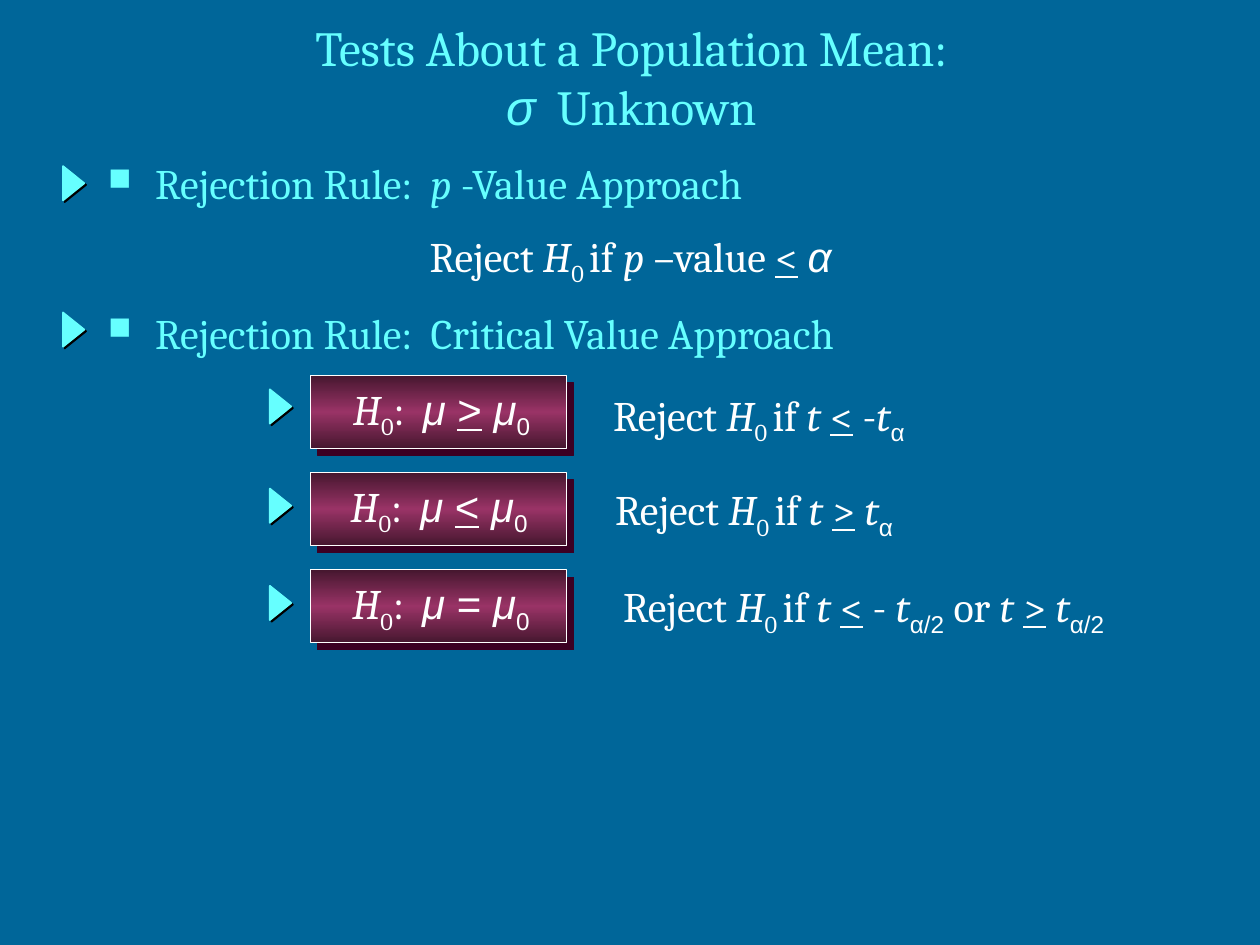
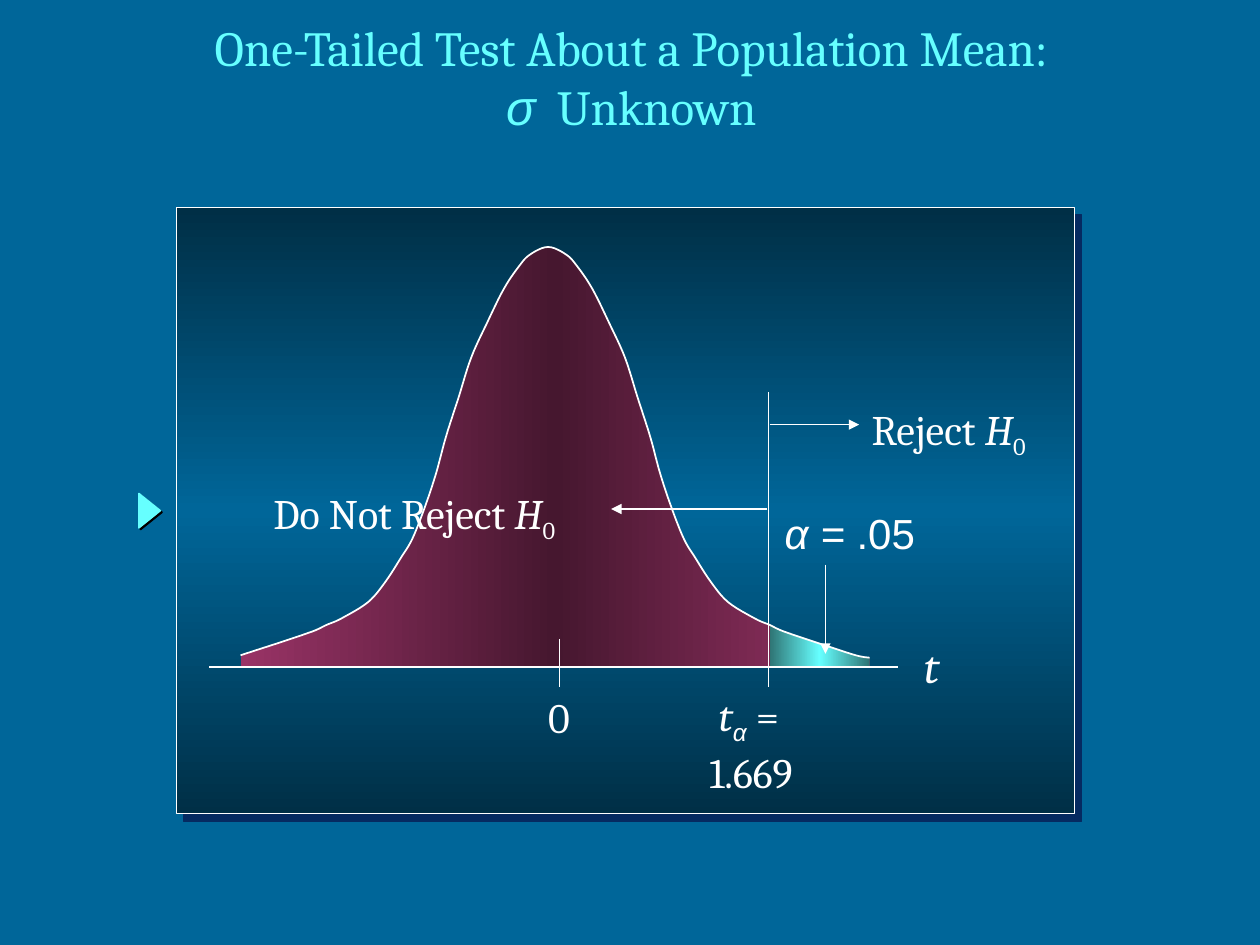
from dataclasses import dataclass
from typing import NamedTuple

from lxml import etree
from pptx import Presentation
from pptx import util as u
from pptx.dml.color import RGBColor
from pptx.enum import shapes, text
from pptx.oxml import ns

TEAL, CYAN, WHITE, BLACK = "006699", "66FFFF", "FFFFFF", "000000"
PLUM, ROSE, PLUM_SHADE = "46172F", "993366", "3C0023"
NAVY, NAVY_SHADE, DARK_CYAN = "002F46", "052A61", "2F7575"
SERIF, SANS = "Cambria", "Arial"
LEFT, CENTER = text.PP_ALIGN.LEFT, text.PP_ALIGN.CENTER


class Box(NamedTuple):
    x: float
    y: float
    w: float
    h: float


class Run(NamedTuple):
    text: str
    italic: bool = False
    sub: bool = False
    under: bool = False
    font: str = SERIF


@dataclass(frozen=True)
class Label:
    box: Box
    lines: list[list[Run]]
    size: int = 24
    align: text.PP_ALIGN = CENTER


@dataclass(frozen=True)
class Line:
    x1: float
    y1: float
    x2: float
    y2: float
    arrow: bool = False


@dataclass(frozen=True)
class Hypothesis:
    text_x: float
    text_w: float
    claim: list[Run]
    arrow_y: float
    rule_box: Box
    rule: list[Run]


def rgb(color: str) -> RGBColor:
    return RGBColor.from_string(color)


def node(parent, tag: str, **attrs):
    return etree.SubElement(parent, ns.qn(tag), {k: str(v) for k, v in attrs.items()})


def cm(*lengths: float) -> list[u.Length]:
    return [u.Cm(n) for n in lengths]


def add_shadow(parent, color: str, points: float) -> None:
    effects = node(parent, "a:effectLst")
    shade = node(effects, "a:outerShdw", dist=int(u.Pt(points)), dir=2700000,
                 algn="ctr", rotWithShape=0)
    node(shade, "a:srgbClr", val=color)


def fill_gradient(sp, edge: str, middle: str, angle: int) -> None:
    sp.fill.gradient()
    sp.fill.gradient_angle = angle
    stops = sp._element.spPr.find(f".//{ns.qn('a:gsLst')}")
    stops.clear()
    for pos, color in ((0, edge), (50000, middle), (100000, edge)):
        node(node(stops, "a:gs", pos=pos), "a:srgbClr", val=color)


def set_line(sp, color: str, width: float) -> None:
    sp.line.color.rgb = rgb(color)
    sp.line.width = u.Pt(width)


def add_run(p, content: str, *, size: int = 24, color: str = WHITE, font: str = SERIF,
            italic: bool = False, sub: bool = False, under: bool = False,
            shadow: bool = False) -> None:
    r = p.add_run()
    r.text = content
    f = r.font
    f.size, f.name, f.italic, f.underline = u.Pt(size), font, italic, under
    f.color.rgb = rgb(color)
    r_pr = r._r.get_or_add_rPr()
    if sub:
        r_pr.set("baseline", "-25000")
    if shadow:
        effects = etree.Element("holder")
        add_shadow(effects, BLACK, 2)
        r_pr.find(ns.qn("a:solidFill")).addnext(effects[0])


def add_runs(p, runs: list[Run], **fmt) -> None:
    for run in runs:
        add_run(p, run.text, italic=run.italic, sub=run.sub, under=run.under,
                font=run.font, **fmt)


def add_textbox(s, box: Box, wrap: bool):
    tf = s.shapes.add_textbox(*cm(*box)).text_frame
    tf.word_wrap = wrap
    tf.auto_size = text.MSO_AUTO_SIZE.NONE if wrap else text.MSO_AUTO_SIZE.SHAPE_TO_FIT_TEXT
    return tf


def add_label(s, label: Label, shadow: bool = False) -> None:
    tf = add_textbox(s, label.box, False)
    for i, runs in enumerate(label.lines):
        p = tf.add_paragraph() if i else tf.paragraphs[0]
        p.alignment = label.align
        add_runs(p, runs, size=label.size, shadow=shadow)


def add_heading(s, y: float, runs: list[Run]) -> None:
    p = add_textbox(s, Box(1.93, y, 21.59, 1.63), True).paragraphs[0]
    p_pr = p._p.get_or_add_pPr()
    p_pr.set("marL", str(u.Cm(0.95)))
    p_pr.set("indent", str(u.Cm(-0.95)))
    node(node(p_pr, "a:buClr"), "a:srgbClr", val=CYAN)
    node(p_pr, "a:buSzPct", val=75000)
    node(p_pr, "a:buChar", char="■")
    p.space_before = u.Pt(6)
    add_runs(p, runs, color=CYAN)


def add_pointer(s, x: float, y: float) -> None:
    sp = s.shapes.add_shape(shapes.MSO_SHAPE.ISOSCELES_TRIANGLE, *cm(x, y, 0.69, 0.43))
    sp.rotation = 90
    sp.fill.solid()
    sp.fill.fore_color.rgb = rgb(CYAN)
    set_line(sp, CYAN, 1)
    add_shadow(sp._element.spPr, BLACK, 1.4)


def add_panel(s, box: Box, edge: str, middle: str, shade: str) -> None:
    sp = s.shapes.add_shape(shapes.MSO_SHAPE.RECTANGLE, *cm(*box))
    fill_gradient(sp, edge, middle, 90)
    set_line(sp, WHITE, 0.5)
    add_shadow(sp._element.spPr, shade, 5.7)


def add_line(s, line: Line) -> None:
    sp = s.shapes.add_connector(shapes.MSO_CONNECTOR.STRAIGHT,
                                *cm(line.x1, line.y1, line.x2, line.y2))
    set_line(sp, WHITE, 1)
    if line.arrow:
        node(sp.line._get_or_add_ln(), "a:tailEnd", type="triangle")
    node(sp._element.spPr, "a:effectLst")


def add_outline(s, points: list[tuple[float, float]], close: bool):
    first, *rest = [tuple(cm(*pt)) for pt in points]
    builder = s.shapes.build_freeform(*first)
    builder.add_line_segments(rest, close=close)
    sp = builder.convert_to_shape()
    sp.shadow.inherit = False
    return sp


def add_area(s, curve: list[tuple[float, float]], edge: str, middle: str) -> None:
    base = [(curve[-1][0], BASELINE), (curve[0][0], BASELINE)]
    sp = add_outline(s, curve + base, True)
    fill_gradient(sp, edge, middle, 0)
    sp.line.fill.background()


def smooth_curve(knots: list[tuple[float, float]], steps: int = 6) -> list[tuple[float, float]]:
    padded = [knots[0], *knots, knots[-1]]
    points = []
    for a, b, c, d in zip(padded, padded[1:], padded[2:], padded[3:]):
        for t in (k / steps for k in range(steps)):
            points.append(tuple(
                q + t * (r - p) / 2 + t**2 * (2 * p - 5 * q + 4 * r - e) / 2
                + t**3 * (3 * q - p - 3 * r + e) / 2
                for p, q, r, e in zip(a, b, c, d)))
    return points + [knots[-1]]


def add_slide(prs, title: str):
    s = prs.slides.add_slide(prs.slide_layouts[6])
    s.background.fill.solid()
    s.background.fill.fore_color.rgb = rgb(TEAL)
    tf = add_textbox(s, Box(1.93, 0.41, 21.59, 2.26), True)
    tf.vertical_anchor = text.MSO_ANCHOR.MIDDLE
    p = tf.paragraphs[0]
    p.alignment = CENTER
    add_run(p, title, size=28, color=CYAN)
    p.add_line_break()
    add_runs(p, [Run("σ", italic=True, font=SANS), Run("  Unknown")], size=28, color=CYAN)
    return s


H = Run("H", italic=True)
ZERO = Run("0", sub=True)
REJECT_IF = [Run("Reject "), H, Run("0 ", sub=True), Run("if ")]
T = Run("t", italic=True)
T_SPACED = Run("t ", italic=True)
LESS, MORE = Run("<", under=True), Run(">", under=True)
ALPHA = Run("α", sub=True, font=SANS)
HALF_ALPHA = Run("α/2", sub=True, font=SANS)


def claim(*sign: Run) -> list[Run]:
    return [H, ZERO, Run(":  "), Run("μ", italic=True, font=SANS), *sign,
            Run("μ", italic=True, font=SANS), Run("0", sub=True, font=SANS)]


def bounded_sign(sign: str) -> list[Run]:
    return [Run(" ", font=SANS), Run(sign, under=True, font=SANS), Run(" ", font=SANS)]


HYPOTHESES = [
    Hypothesis(6.55, 4.7, claim(*bounded_sign(">")), 7.98, Box(11.73, 7.72, 7.14, 1.42),
               [*REJECT_IF, T_SPACED, LESS, Run(" -"), T, ALPHA]),
    Hypothesis(6.5, 4.7, claim(*bounded_sign("<")), 9.98, Box(11.76, 9.63, 6.88, 1.42),
               [*REJECT_IF, T_SPACED, MORE, Run(" "), T, ALPHA]),
    Hypothesis(6.45, 4.88, claim(Run(" = ", font=SANS)), 11.94, Box(11.76, 11.58, 11.3, 1.42),
               [*REJECT_IF, T_SPACED, LESS, Run(" - "), T, HALF_ALPHA, Run(" or "),
                T_SPACED, MORE, Run(" "), T, HALF_ALPHA]),
]

BASELINE = 13.43
PEAK_X = 11.05
CRITICAL_OFFSET = 4.47
HALF_BELL = [
    (0, 4.98), (0.36, 5.13), (0.58, 5.36), (0.89, 5.82), (1.24, 6.53), (1.55, 7.21),
    (1.8, 8), (2.06, 8.81), (2.26, 9.55), (2.49, 10.24), (2.74, 10.87), (2.97, 11.25),
    (3.28, 11.73), (3.63, 12.14), (4.17, 12.47), (CRITICAL_OFFSET, 12.6), (4.75, 12.73),
    (5.49, 12.98), (6.2, 13.21), (6.48, 13.26),
]

BELL_LABELS = [
    Label(Box(15.57, 10.11, 3.61, 1.27),
          [[Run("α =", italic=True, font=SANS), Run(" .05", font=SANS)]], align=LEFT),
    Label(Box(10.8, 13.82, 0.97, 1.27), [[Run("0")]], align=LEFT),
    Label(Box(14.05, 13.77, 2.62, 2.41),
          [[Run(" t", italic=True), Run("α", italic=True, sub=True, font=SANS), Run(" =")],
           [Run("1.669")]], align=LEFT),
    Label(Box(17.32, 8, 4.09, 1.4), [[Run("Reject "), H, ZERO]], align=LEFT),
    Label(Box(5.26, 9.7, 7.09, 1.4), [[Run("Do Not Reject "), H, ZERO]], align=LEFT),
    Label(Box(18.36, 12.73, 0.84, 1.37), [[T]], size=26),
]

BELL_LINES = [
    Line(15.49, 7.9, 15.49, 13.84),
    Line(15.52, 8.56, 17.32, 8.56, arrow=True),
    Line(16.64, 11.38, 16.64, 13.18, arrow=True),
    Line(15.47, 10.26, 12.32, 10.26, arrow=True),
    Line(4.22, 13.44, 18.11, 13.44),
    Line(11.28, 12.88, 11.28, 13.84),
]


def build_rejection_rules(prs) -> None:
    s = add_slide(prs, "Tests About a Population Mean:")
    add_heading(s, 3.05, [Run("Rejection Rule:  "), Run("p", italic=True),
                          Run(" -Value Approach")])
    add_heading(s, 6.07, [Run("Rejection Rule:  Critical Value Approach")])
    for y in (3.48, 6.43):
        add_pointer(s, 1.14, y)
    add_label(s, Label(Box(7.8, 4.52, 9.83, 1.42), [
        [*REJECT_IF, Run("p ", italic=True), Run("–value "), LESS, Run(" "),
         Run("α", italic=True, font=SANS)]]))
    for i, row in enumerate(HYPOTHESES):
        y = 7.57 + 1.96 * i
        add_panel(s, Box(6.25, y, 5.18, 1.47), PLUM, ROSE, PLUM_SHADE)
        add_label(s, Label(Box(row.text_x, y + 0.03, row.text_w, 1.42), [row.claim]))
        add_pointer(s, 5.31, row.arrow_y)
        add_label(s, Label(row.rule_box, [row.rule]))


def build_one_tailed_test(prs) -> None:
    s = add_slide(prs, "One-Tailed Test About a Population Mean:")
    add_panel(s, Box(3.56, 4.19, 18.11, 12.22), NAVY, TEAL, NAVY_SHADE)
    left_half = [(-x, y) for x, y in reversed(HALF_BELL[1:-1])]
    bell = smooth_curve([(PEAK_X + x, y) for x, y in left_half + HALF_BELL])
    add_area(s, bell, ROSE, PLUM)
    critical_x = PEAK_X + CRITICAL_OFFSET
    add_area(s, [pt for pt in bell if pt[0] > critical_x - 0.01], DARK_CYAN, CYAN)
    for label in BELL_LABELS:
        add_label(s, label, shadow=True)
    outline = add_outline(s, bell, False)
    outline.fill.background()
    set_line(outline, WHITE, 1)
    for line in BELL_LINES:
        add_line(s, line)
    add_pointer(s, 2.67, 10.08)


def main() -> None:
    prs = Presentation()
    prs.slide_width, prs.slide_height = cm(25.4, 19.05)
    build_rejection_rules(prs)
    build_one_tailed_test(prs)
    prs.save("out.pptx")


if __name__ == "__main__":
    main()
